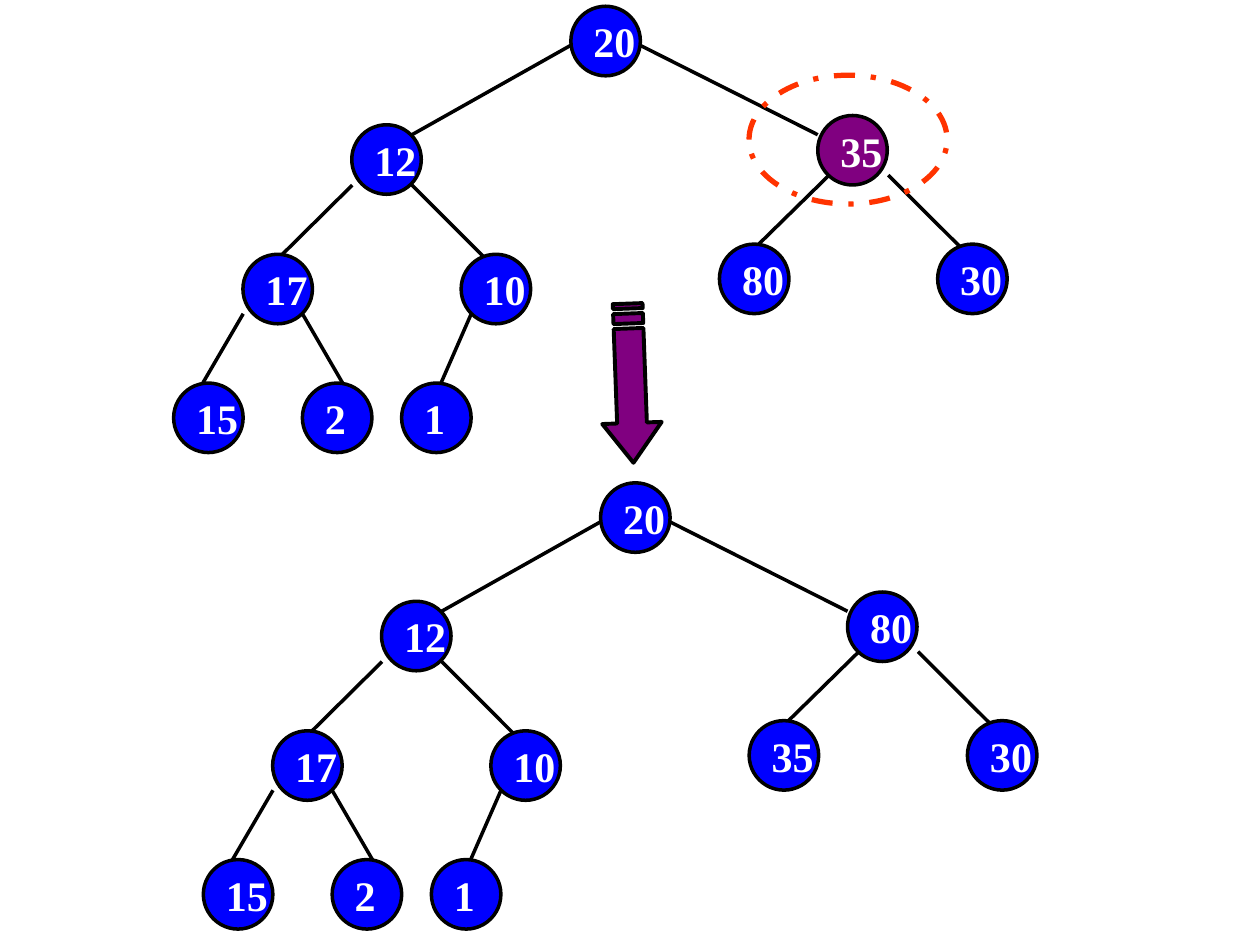
"""Draw a heap before and after one sift-down step."""
from lxml import etree
from pptx import Presentation
from pptx.dml.color import RGBColor
from pptx.enum import dml, shapes, text
from pptx.oxml.ns import qn
from pptx.util import Pt

BLUE = RGBColor(0x00, 0x00, 0xFF)
PURPLE = RGBColor(0x80, 0x00, 0x80)
RED = RGBColor(0xFF, 0x33, 0x00)
BLACK = RGBColor(0x00, 0x00, 0x00)
WHITE = RGBColor(0xFF, 0xFF, 0xFF)

SIZE = 39.7
SPOTS = [
    (326.2, 3.6), (201, 71.3), (467.3, 66),
    (138.8, 145.3), (263.5, 145.3), (411.1, 139.5), (535.8, 139.5),
    (99.2, 218.9), (172.8, 218.9), (229.5, 218.9),
]
EDGES = [
    (326.2, 25.9, 235.4, 77), (365.8, 25.9, 467.3, 77),
    (201.3, 105.8, 161.3, 145.4), (235.4, 105.8, 280.8, 151.2),
    (473.8, 100.1, 433.4, 139.7), (507.6, 100.1, 553, 145.4),
    (139, 179.3, 115.9, 218.9), (172.8, 179.3, 195.8, 218.9),
    (269.3, 179.3, 252, 218.9),
]
FIRST = [20, 12, 35, 17, 10, 80, 30, 15, 2, 1]
AFTER = [20, 12, 80, 17, 10, 35, 30, 15, 2, 1]
SHIFT = (17, 272.3)


def stroke(shape, color, width):
    """Outline a shape without a shadow."""
    shape.shadow.inherit = False
    shape.line.color.rgb = color
    shape.line.width = Pt(width)


def edge(group, x1, y1, x2, y2):
    """Add one tree edge."""
    line = group.shapes.add_connector(
        shapes.MSO_CONNECTOR.STRAIGHT, Pt(x1), Pt(y1), Pt(x2), Pt(y2))
    line.line.color.rgb = BLACK
    line.line.width = Pt(2)
    etree.SubElement(line._element.spPr, qn("a:effectLst"))


def node(group, x, y, key, color):
    """Add one tree node with its key."""
    ball = group.shapes.add_shape(
        shapes.MSO_SHAPE.OVAL, Pt(x), Pt(y), Pt(SIZE), Pt(SIZE))
    ball.fill.solid()
    ball.fill.fore_color.rgb = color
    stroke(ball, BLACK, 2)
    frame = ball.text_frame
    frame.word_wrap = False
    frame.vertical_anchor = text.MSO_ANCHOR.MIDDLE
    para = frame.paragraphs[0]
    para.text = str(key)
    para.alignment = text.PP_ALIGN.LEFT
    font = para.font
    font.name, font.size, font.bold = "Times New Roman", Pt(24), True
    font.color.rgb = WHITE


def tree(slide, keys, shift=(0, 0), mark=None):
    """Add a grouped tree, with the marked key in purple."""
    dx, dy = shift
    group = slide.shapes.add_group_shape()
    for x1, y1, x2, y2 in EDGES:
        edge(group, x1 + dx, y1 + dy, x2 + dx, y2 + dy)
    for key, (x, y) in zip(keys, SPOTS):
        node(group, x + dx, y + dy, key, PURPLE if key == mark else BLUE)


def arrow(slide, x, y, wide, high, turn):
    """Add a striped arrow on a grid of 32 by 4 units."""
    pen = slide.shapes.build_freeform(
        24, 0, scale=(Pt(wide) / 32, Pt(high) / 4))
    pen.add_line_segments(
        [(24, 1), (5, 1), (5, 3), (24, 3), (24, 4), (32, 2)])
    for left, right in ((2, 4), (0, 1)):
        pen.move_to(left, 1)
        pen.add_line_segments([(left, 3), (right, 3), (right, 1)])
    shape = pen.convert_to_shape(Pt(x), Pt(y))
    shape.rotation = turn
    shape.fill.solid()
    shape.fill.fore_color.rgb = PURPLE
    stroke(shape, BLACK, 2.25)


def ring(slide, x, y, wide, high):
    """Add a dashed ring."""
    shape = slide.shapes.add_shape(
        shapes.MSO_SHAPE.OVAL, Pt(x), Pt(y), Pt(wide), Pt(high))
    shape.fill.background()
    stroke(shape, RED, 3)
    shape.line.dash_style = dml.MSO_LINE.DASH_DOT


def main():
    """Build and save the slide."""
    deck = Presentation()
    deck.slide_width, deck.slide_height = Pt(720), Pt(540)
    slide = deck.slides.add_slide(deck.slide_layouts[6])
    tree(slide, FIRST, mark=35)
    arrow(slide, 314.8, 202, 91, 34, 87.9)
    tree(slide, AFTER, SHIFT)
    ring(slide, 428, 43, 113.2, 73.6)
    deck.save("out.pptx")


if __name__ == "__main__":
    main()
